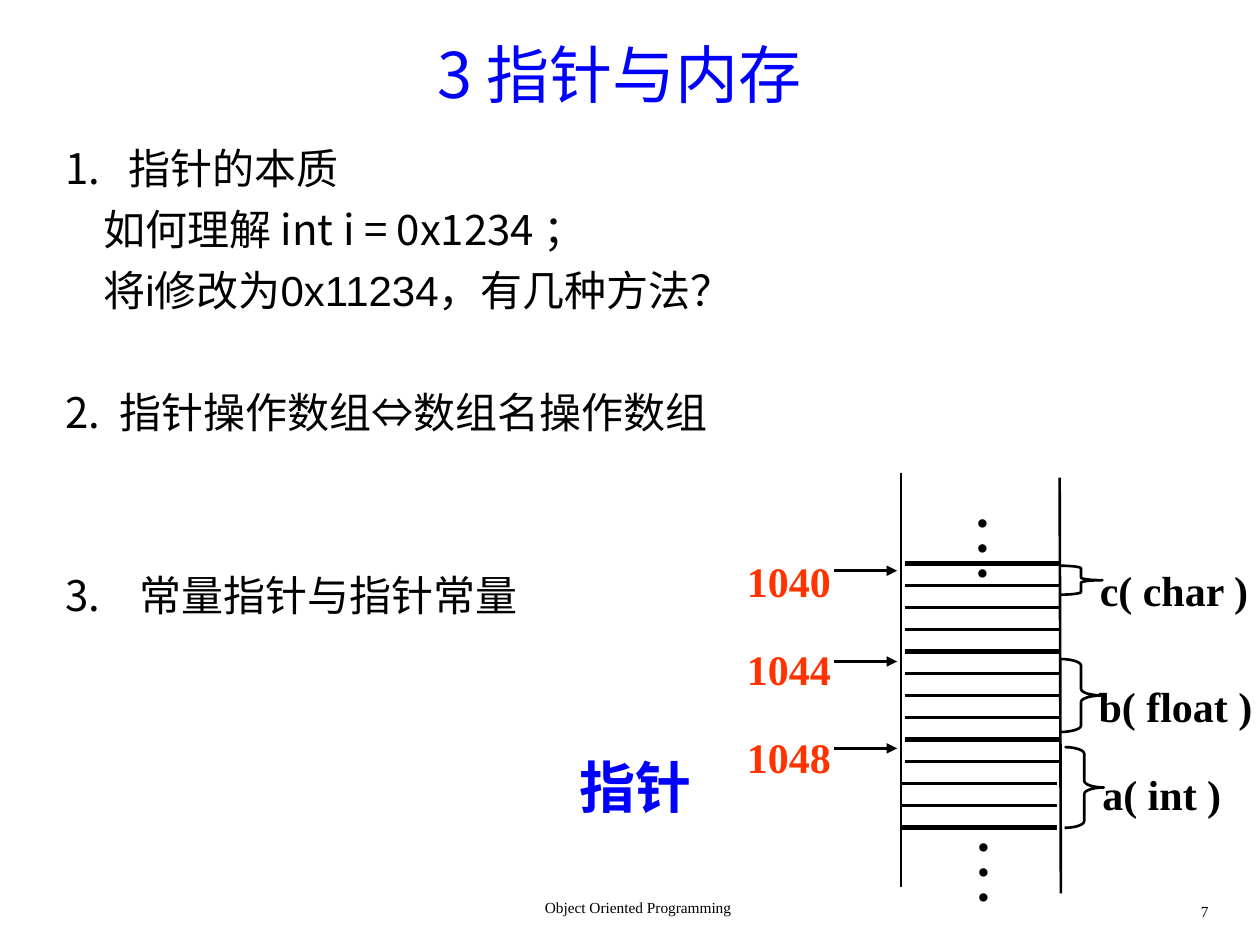
from lxml.etree import SubElement
from pptx import Presentation
from pptx.dml.color import RGBColor
from pptx.enum.shapes import MSO_CONNECTOR as Connector, MSO_SHAPE as Shape
from pptx.enum.text import MSO_ANCHOR as Anchor, MSO_AUTO_SIZE as AutoSize, PP_ALIGN as Align
from pptx.oxml.ns import qn
from pptx.util import Inches, Pt

COLORS = {"black": "000000", "blue": "0000FF", "red": "FF3300"}
CJK, ARIAL, TIMES, MONO = "Noto Sans CJK SC", "Arial", "Times New Roman", "Noto Sans Mono"

TITLE = "3 指针与内存"
TOPICS = [
    {"number": 1, "runs": [("指针的本质", CJK)], "indent": 0.5, "before": 6},
    {"number": None, "runs": [("如何理解 int i = 0x1234 ；", CJK)], "indent": 0.3, "before": 6},
    {"number": None, "runs": [("将i修改为0x11234，有几种方法？", ARIAL)], "indent": 0.3, "before": 6},
    {"number": 2, "runs": [("指针操作数组", CJK), ("⇔", ARIAL), ("数组名操作数组", CJK)],
     "indent": 0.43, "before": 41},
    {"number": 3, "runs": [("常量指针与指针常量", CJK)], "indent": 0.59, "before": 76},
]
FOOTERS = [
    ("Object Oriented Programming", (3.48, 7.11, 3.17, 0.26), Align.CENTER),
    ("7", (7.6, 7.14, 2.09, 0.26), Align.RIGHT),
]
ADDRESSES = [("1040", 4.53), ("1044", 5.25), ("1048", 5.94)]
VARIABLES = [
    ("c( char )", (8.63, 4.43, 1.38, 0.5), (8.41, 4.49, 0.34, 0.23), 0.09),
    ("b( float )", (8.62, 5.35, 1.42, 0.5), (8.41, 5.23, 0.34, 0.58), 0.15),
    ("a( int )", (8.65, 6.05, 1.16, 0.5), (8.45, 5.93, 0.31, 0.64), 0.17),
]
ELLIPSES = [(7.65, 4.04, 0.3, 0.7), (7.66, 6.61, 0.3, 0.7)]
POINTER = ("指针", (4.5, 5.92, 1.09, 0.64))
WALLS = [(7.15, 3.75, 7.15, 7.04), (8.41, 3.79, 8.42, 7.09)]
CELL_TOP, CELL_STEP, CELL_COUNT, CELLS_PER_WORD = 4.47, 0.175, 12, 4

FORMATS = {
    "title": {"size": Pt(36), "bold": False, "color": "blue"},
    "topic": {"size": Pt(24), "bold": False, "color": "black"},
    "footer": {"size": Pt(8.8), "bold": False, "color": "black"},
    "address": {"size": Pt(24), "bold": True, "color": "red"},
    "variable": {"size": Pt(24), "bold": True, "color": "black"},
    "dot": {"size": Pt(20), "bold": False, "color": "black"},
    "pointer": {"size": Pt(32), "bold": True, "color": "blue"},
}


def color(name):
    return RGBColor.from_string(COLORS[name])


def add_run(paragraph, text, font_name, style):
    run = paragraph.add_run()
    run.text = text
    run.font.name = font_name
    for key, value in FORMATS[style].items():
        if key == "color":
            run.font.color.rgb = color(value)
        else:
            setattr(run.font, key, value)
    east_asian = MONO if font_name == MONO else CJK
    SubElement(run.font._element, qn("a:ea"), typeface=east_asian)


def place(shape, box):
    for key, value in zip(("left", "top", "width", "height"), box):
        setattr(shape, key, Inches(value))


def add_label(slide, lines, box, style, font_name=TIMES, align=Align.LEFT, spacing=1.0, wrap=False):
    label = slide.shapes.add_textbox(*map(Inches, box))
    frame = label.text_frame
    frame.word_wrap = wrap
    frame.auto_size = AutoSize.NONE if wrap else AutoSize.SHAPE_TO_FIT_TEXT
    for index, line in enumerate(lines):
        paragraph = frame.add_paragraph() if index else frame.paragraphs[0]
        paragraph.alignment = align
        paragraph.line_spacing = spacing
        add_run(paragraph, line, font_name, style)


def add_line(slide, ends, width=1.5, arrow=False):
    line = slide.shapes.add_connector(Connector.STRAIGHT, *map(Inches, ends))
    line.line.color.rgb = color("black")
    line.line.width = Pt(width)
    if arrow:
        SubElement(line.line._get_or_add_ln(), qn("a:tailEnd"), type="triangle")
    SubElement(line._element.spPr, qn("a:effectLst"))


def add_brace(slide, box, curve):
    brace = slide.shapes.add_shape(Shape.RIGHT_BRACE, *map(Inches, box))
    brace.shadow.inherit = False
    brace.fill.background()
    brace.line.color.rgb = color("black")
    brace.line.width = Pt(1.5)
    brace.adjustments[0] = curve


def fill_title(slide):
    title = slide.shapes.title
    place(title, (0.67, 0.25, 8.5, 0.67))
    title.text_frame.vertical_anchor = Anchor.MIDDLE
    title.text_frame.auto_size = AutoSize.NONE
    paragraph = title.text_frame.paragraphs[0]
    paragraph.alignment = Align.CENTER
    add_run(paragraph, TITLE, CJK, "title")


def fill_topics(slide):
    body = slide.placeholders[1]
    place(body, (0.42, 1.08, 8.92, 5.97))
    frame = body.text_frame
    frame.auto_size = AutoSize.NONE
    for index, topic in enumerate(TOPICS):
        paragraph = frame.add_paragraph() if index else frame.paragraphs[0]
        paragraph.space_before = Pt(topic["before"])
        properties = paragraph._p.get_or_add_pPr()
        indent = Inches(topic["indent"])
        properties.set("marL", str(indent))
        if topic["number"]:
            properties.set("indent", str(-indent))
            SubElement(properties, qn("a:buFont"), typeface=CJK)
            SubElement(properties, qn("a:buAutoNum"), type="arabicPeriod", startAt=str(topic["number"]))
        else:
            properties.set("indent", "0")
            SubElement(properties, qn("a:buNone"))
        for text, font_name in topic["runs"]:
            add_run(paragraph, text, font_name, "topic")


def draw_memory(slide):
    for wall in WALLS:
        add_line(slide, wall)
    for row in range(CELL_COUNT + 1):
        y = CELL_TOP + row * CELL_STEP
        left, right = (7.15, 8.39) if row > 9 else (7.18, 8.41)
        add_line(slide, (left, y, right, y), 1.5 if row % CELLS_PER_WORD else 3)
    for row, (address, y) in enumerate(ADDRESSES):
        add_label(slide, [address], (5.83, 4.36 + 0.7 * row, 0.88, 0.5), "address")
        add_line(slide, (6.62, y, 7.12, y), arrow=True)
    for variable, box, brace_box, curve in VARIABLES:
        add_label(slide, [variable], box, "variable")
        add_brace(slide, brace_box, curve)
    for box in ELLIPSES:
        add_label(slide, ["•"] * 3, box, "dot", spacing=0.6)


def main():
    deck = Presentation()
    deck.slide_width, deck.slide_height = Inches(10), Inches(7.5)
    slide = deck.slides.add_slide(deck.slide_layouts[1])
    fill_title(slide)
    fill_topics(slide)
    for text, box, align in FOOTERS:
        add_label(slide, [text], box, "footer", align=align, spacing=0.8, wrap=True)
    draw_memory(slide)
    add_label(slide, [POINTER[0]], POINTER[1], "pointer", MONO)
    deck.save("out.pptx")


if __name__ == "__main__":
    main()
